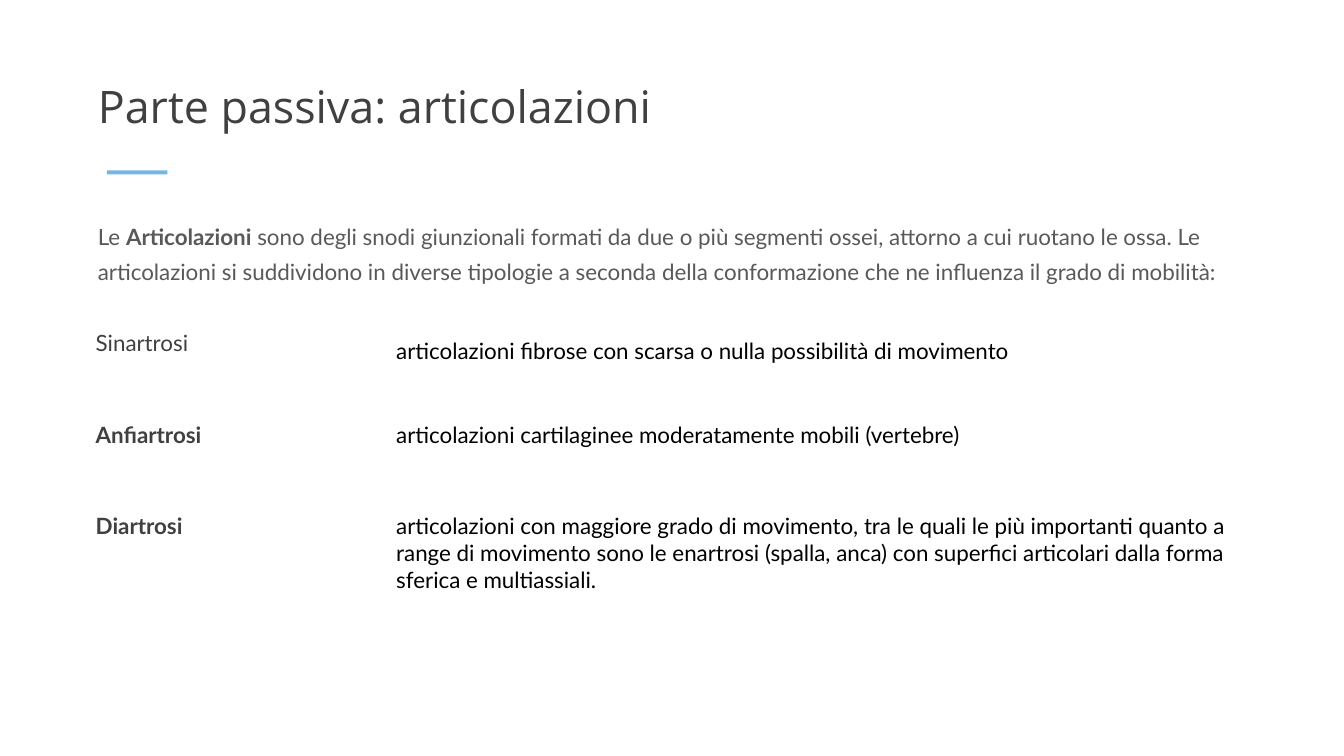
from lxml.etree import SubElement
from pptx import Presentation
from pptx.dml.color import RGBColor
from pptx.enum.shapes import MSO_SHAPE
from pptx.enum.text import MSO_ANCHOR, MSO_AUTO_SIZE, PP_ALIGN
from pptx.oxml.ns import qn
from pptx.util import Inches, Pt

COLORS = {
    "title": "404040",
    "intro": "595959",
    "term": "404040",
    "definition": "000000",
    "accent": "75B6E5",
    "cell": "FFFFFF",
}

deck = Presentation()
deck.slide_width = Inches(13.33)
deck.slide_height = Inches(7.5)
page = deck.slides.add_slide(deck.slide_layouts[1])


def share(left, top, width, height):
    across, down = deck.slide_width / 100, deck.slide_height / 100
    return int(left * across), int(top * down), int(width * across), int(height * down)


def add_span(para, text, color, size=16, font="Lato", bold=False):
    span = para.add_run()
    span.text = text
    span.font.name = font
    span.font.size = Pt(size)
    span.font.bold = bold
    span.font.color.rgb = RGBColor.from_string(COLORS[color])


title = page.shapes.title
intro = page.placeholders[1]
title.left, title.top, title.width, title.height = share(6.53, 1.73, 86.65, 16.53)
intro.left, intro.top, intro.width, intro.height = share(6.53, 27.73, 88.67, 9.73)
for box, anchor in ((title, MSO_ANCHOR.BOTTOM), (intro, MSO_ANCHOR.TOP)):
    box.text_frame.word_wrap = True
    box.text_frame.auto_size = MSO_AUTO_SIZE.NONE
    box.text_frame.vertical_anchor = anchor

para = title.text_frame.paragraphs[0]
para.alignment = PP_ALIGN.LEFT
para.line_spacing = 0.9
add_span(para, "Parte passiva: articolazioni", "title", 32, "Open Sans")

para = intro.text_frame.paragraphs[0]
para.line_spacing = 1.3
para.space_before = Pt(10)
properties = para._p.get_or_add_pPr()
properties.set("marL", "0")
properties.set("indent", "0")
SubElement(properties, qn("a:buNone"))
add_span(para, "Le ", "intro")
add_span(para, "Articolazioni", "intro", bold=True)
add_span(
    para,
    " sono degli snodi giunzionali formati da due o più segmenti ossei, attorno a cui "
    "ruotano le ossa. Le articolazioni si suddividono in diverse tipologie a seconda della "
    "conformazione che ne influenza il grado di mobilità:",
    "intro",
)

accent = page.shapes.add_shape(MSO_SHAPE.RECTANGLE, *share(7.95, 22.53, 4.5, 0.53))
accent.shadow.inherit = False
accent.fill.solid()
accent.fill.fore_color.rgb = RGBColor.from_string(COLORS["accent"])
accent.line.fill.background()

joints = [
    ("Sinartrosi", "articolazioni fibrose con scarsa o nulla possibilità di movimento"),
    ("Anfiartrosi", "articolazioni cartilaginee moderatamente mobili (vertebre)"),
    (
        "Diartrosi",
        "articolazioni con maggiore grado di movimento, tra le quali le più importanti quanto a "
        "range di movimento sono le enartrosi (spalla, anca) con superfici articolari dalla forma "
        "sferica e multiassiali.",
    ),
    ("", ""),
]
table = page.shapes.add_table(len(joints), 2, *share(6.45, 43.07, 86.72, 48.4)).table
table.first_row = False
table.horz_banding = False
for column, width in zip(table.columns, (22.36, 64.36)):
    column.width = int(deck.slide_width * width / 100)

for row, joint in enumerate(joints):
    for column, (text, color) in enumerate(zip(joint, ("term", "definition"))):
        cell = table.cell(row, column)
        cell.fill.solid()
        cell.fill.fore_color.rgb = RGBColor.from_string(COLORS["cell"])
        cell.margin_left = cell.margin_right = Inches(0.09)
        cell.margin_top = cell.margin_bottom = Inches(0.04)
        if text:
            add_span(cell.text_frame.paragraphs[0], text, color, bold=color == "term" and row > 0)

first_definition = table.cell(0, 1).text_frame.paragraphs[0]
first_definition.line_spacing = 1.3
first_definition.space_before = Pt(10)

deck.save("out.pptx")
